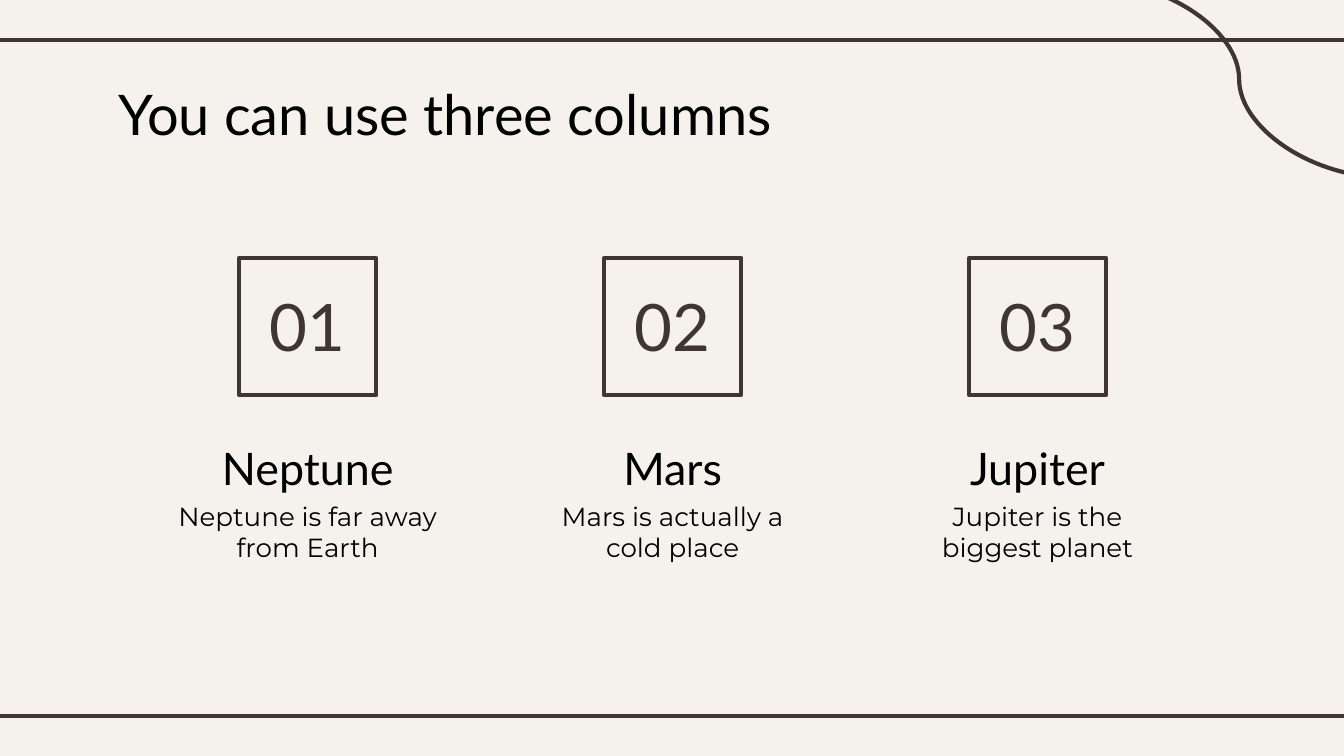
from pptx import Presentation
from pptx.dml.color import RGBColor
from pptx.enum.shapes import MSO_CONNECTOR, MSO_SHAPE
from pptx.enum.text import MSO_ANCHOR, MSO_AUTO_SIZE, PP_ALIGN
from pptx.oxml.ns import qn
from pptx.util import Inches, Pt
from lxml.etree import SubElement

PAPER = "F5F2EE"
INK = "3F3533"
BLACK = "000000"
PLANETS = [
    ("01", "Neptune", "Neptune is far away from Earth"),
    ("02", "Mars", "Mars is actually a cold place"),
    ("03", "Jupiter", "Jupiter is the biggest planet"),
]
FIRST_CENTER = 2.29
LAST_CENTER = 7.72
COLUMN_STEP = (LAST_CENTER - FIRST_CENTER) / (len(PLANETS) - 1)
SQUARE_SIDE = 1.02


def color(hex_value):
    return RGBColor.from_string(hex_value)


def style_outline(line):
    line.color.rgb = color(INK)
    line.width = Pt(2.25)


def add_stroke(slide, kind, *ends):
    stroke = slide.shapes.add_connector(kind, *[Inches(end) for end in ends])
    style_outline(stroke.line)
    SubElement(stroke.element.spPr, qn("a:effectLst"))


def write_text(frame, text, size, font_name, ink, align, anchor=MSO_ANCHOR.TOP):
    frame.text = text
    frame.word_wrap = True
    frame.auto_size = MSO_AUTO_SIZE.NONE
    frame.vertical_anchor = anchor
    frame.margin_left = frame.margin_right = Inches(0.1)
    frame.margin_top = frame.margin_bottom = Inches(0.1)
    paragraph = frame.paragraphs[0]
    paragraph.alignment = align
    font = paragraph.runs[0].font
    font.size = Pt(size)
    font.name = font_name
    font.color.rgb = color(ink)


def add_title(slide, text):
    title = slide.shapes.title
    title.left, title.top = Inches(0.78), Inches(0.49)
    title.width, title.height = Inches(6.03), Inches(0.63)
    write_text(title.text_frame, text, 30, "Lato", BLACK, PP_ALIGN.LEFT)


def add_label(slide, center, top, width, height, text, *style):
    label = slide.shapes.add_textbox(
        Inches(center - width / 2), Inches(top), Inches(width), Inches(height)
    )
    write_text(label.text_frame, text, *style)


def add_number_square(slide, center, number):
    square = slide.shapes.add_shape(
        MSO_SHAPE.RECTANGLE, Inches(center - SQUARE_SIDE / 2), Inches(1.92),
        Inches(SQUARE_SIDE), Inches(SQUARE_SIDE),
    )
    square.shadow.inherit = False
    square.fill.solid()
    square.fill.fore_color.rgb = color(PAPER)
    style_outline(square.line)
    add_label(slide, center, 2.06, 1.11, 0.73, number,
              35, "Lato", INK, PP_ALIGN.CENTER, MSO_ANCHOR.MIDDLE)


def add_planet_column(slide, center, number, planet, fact):
    add_number_square(slide, center, number)
    add_label(slide, center, 3.18, 2.2, 0.54, planet,
              24, "Lato", BLACK, PP_ALIGN.CENTER)
    add_label(slide, center, 3.62, 2.2, 0.63, fact,
              14, "Montserrat", BLACK, PP_ALIGN.CENTER)


def main():
    presentation = Presentation()
    presentation.slide_width = Inches(10)
    presentation.slide_height = Inches(10 * 9 / 16)
    slide = presentation.slides.add_slide(presentation.slide_layouts[5])
    slide.background.fill.solid()
    slide.background.fill.fore_color.rgb = color(PAPER)

    for rule_height in (0.3, 5.33):
        add_stroke(slide, MSO_CONNECTOR.STRAIGHT,
                   -0.08, rule_height, 10.08, rule_height)
    add_stroke(slide, MSO_CONNECTOR.CURVE, 8.13, -0.14, 10.31, 1.32)

    add_title(slide, "You can use three columns")
    for index, planet_entry in enumerate(PLANETS):
        add_planet_column(slide, FIRST_CENTER + index * COLUMN_STEP, *planet_entry)
    presentation.save("out.pptx")


if __name__ == "__main__":
    main()
